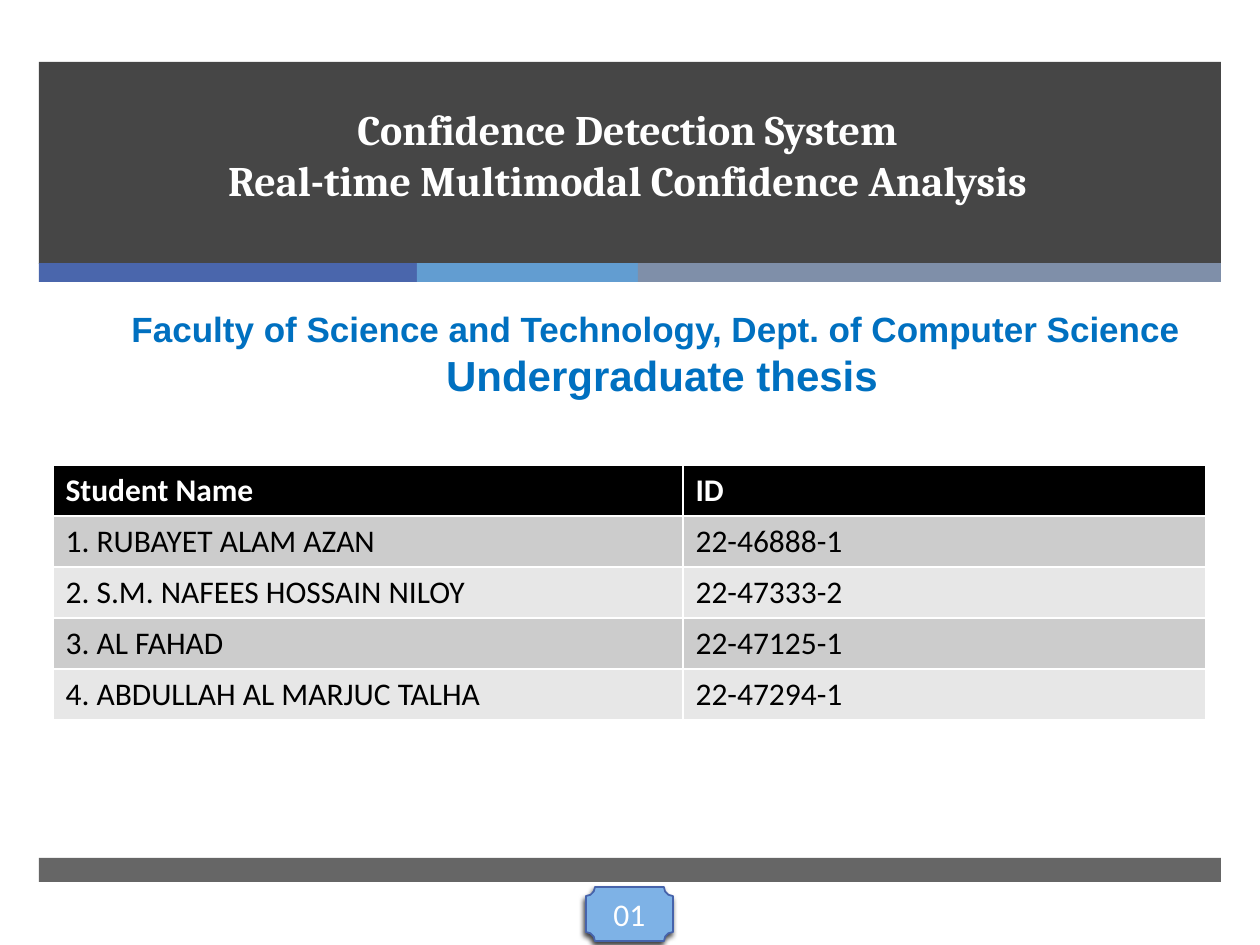
from dataclasses import dataclass
from typing import Optional

import pptx
import pptx.dml.color
import pptx.enum.shapes
import pptx.enum.text
import pptx.oxml
import pptx.oxml.ns
import pptx.util
from lxml import etree

RGBColor = pptx.dml.color.RGBColor
MSO_SHAPE = pptx.enum.shapes.MSO_SHAPE
ANCHOR = pptx.enum.text.MSO_ANCHOR
ALIGN = pptx.enum.text.PP_ALIGN

EMU_PER_PX = 914400 / 126

WHITE = RGBColor(0xFF, 0xFF, 0xFF)
BLACK = RGBColor(0x00, 0x00, 0x00)
CHARCOAL = RGBColor(0x26, 0x26, 0x26)
INDIGO = RGBColor(0x4A, 0x66, 0xAC)
SKY = RGBColor(0x62, 0x9D, 0xD1)
SLATE = RGBColor(0x7F, 0x8F, 0xA9)
HEADING_BLUE = RGBColor(0x00, 0x70, 0xC0)
BADGE_FILL = RGBColor(0x7E, 0xB2, 0xE6)
BADGE_LINE = RGBColor(0x46, 0x63, 0xAB)
ROW_FILLS = (RGBColor(0xCC, 0xCC, 0xCC), RGBColor(0xE7, 0xE7, 0xE7))


@dataclass(frozen=True)
class Band:
    left: int
    top: int
    width: int
    height: int
    color: RGBColor
    opacity: Optional[int] = None


BANDS = (
    Band(39, 62, 1182, 202, CHARCOAL, 85),
    Band(39, 263, 378, 19, INDIGO),
    Band(417, 263, 221, 19, SKY),
    Band(638, 263, 583, 19, SLATE),
    Band(39, 858, 1182, 24, CHARCOAL, 70),
)

STUDENTS = (
    ("Student Name", "ID"),
    ("1. RUBAYET ALAM AZAN", "22-46888-1"),
    ("2. S.M. NAFEES HOSSAIN NILOY", "22-47333-2"),
    ("3. AL FAHAD", "22-47125-1"),
    ("4. ABDULLAH AL MARJUC TALHA", "22-47294-1"),
)
COLUMN_WIDTHS = (630, 523)
ROW_HEIGHT = 51


def px(length: int) -> int:
    return round(length * EMU_PER_PX)


def box(left: int, top: int, width: int, height: int) -> tuple[int, ...]:
    return px(left), px(top), px(width), px(height)


def write(paragraph, text: str, *, size: int, font: str, color: RGBColor,
          bold: bool = False, align=ALIGN.LEFT, indent: int = 0) -> None:
    paragraph.text = text
    paragraph.alignment = align
    if indent:
        paragraph._p.get_or_add_pPr().set("marL", str(px(indent)))
    for run in paragraph.runs:
        run.font.size = pptx.util.Pt(size)
        run.font.name = font
        run.font.bold = bold
        run.font.color.rgb = color


def draw_band(slide, band: Band) -> None:
    bar = slide.shapes.add_shape(
        MSO_SHAPE.RECTANGLE, *box(band.left, band.top, band.width, band.height))
    bar.shadow.inherit = False
    bar.fill.solid()
    bar.fill.fore_color.rgb = band.color
    bar.line.fill.background()
    if band.opacity is not None:
        color = bar._element.spPr.find(".//" + pptx.oxml.ns.qn("a:srgbClr"))
        etree.SubElement(color, pptx.oxml.ns.qn("a:alpha"),
                         val=str(band.opacity * 1000))


def draw_title(slide) -> None:
    title, subtitle = slide.shapes.title, slide.placeholders[1]
    subtitle._element.getparent().remove(subtitle._element)
    # Bring the title in front of the dark band
    slide.shapes._spTree.append(title._element)
    title.left, title.top, title.width, title.height = box(34, 62, 1187, 149)
    title.text_frame.vertical_anchor = ANCHOR.BOTTOM
    write(title.text_frame.paragraphs[0],
          "Confidence Detection System\vReal-time Multimodal Confidence Analysis",
          size=24, font="Cambria", color=WHITE, bold=True, align=ALIGN.CENTER)


def draw_department(slide) -> None:
    frame = slide.shapes.add_textbox(*box(34, 301, 1244, 106)).text_frame
    frame.word_wrap = True
    frame.auto_size = pptx.enum.text.MSO_AUTO_SIZE.SHAPE_TO_FIT_TEXT
    style = dict(font="Arial", color=HEADING_BLUE, bold=True, align=ALIGN.CENTER)
    write(frame.paragraphs[0],
          "Faculty of Science and Technology, Dept. of Computer Science",
          size=20, **style)
    write(frame.add_paragraph(), "Undergraduate thesis", size=24, indent=12, **style)


def draw_students(slide) -> None:
    table = slide.shapes.add_table(
        len(STUDENTS), len(COLUMN_WIDTHS),
        *box(53, 465, sum(COLUMN_WIDTHS), ROW_HEIGHT * len(STUDENTS))).table
    for column, width in zip(table.columns, COLUMN_WIDTHS):
        column.width = px(width)
    for row, student in enumerate(STUDENTS):
        header = row == 0
        table.rows[row].height = px(ROW_HEIGHT)
        for column, text in enumerate(student):
            cell = table.cell(row, column)
            cell.fill.solid()
            cell.fill.fore_color.rgb = BLACK if header else ROW_FILLS[(row - 1) % 2]
            write(cell.text_frame.paragraphs[0], text, size=18, font="Calibri",
                  color=WHITE if header else BLACK, bold=header)


def draw_page_badge(slide) -> None:
    badge = slide.shapes.add_shape(MSO_SHAPE.PLAQUE, *box(586, 887, 87, 54))
    badge.fill.solid()
    badge.fill.fore_color.rgb = BADGE_FILL
    badge.line.color.rgb = BADGE_LINE
    badge.line.width = pptx.util.Pt(1)
    badge.shadow.inherit = False
    effects = badge._element.spPr.find(pptx.oxml.ns.qn("a:effectLst"))
    effects.append(pptx.oxml.parse_xml(
        f'<a:outerShdw {pptx.oxml.ns.nsdecls("a")} blurRad="38100" dist="25400" '
        'dir="6600000" rotWithShape="0"><a:srgbClr val="000000">'
        '<a:alpha val="75000"/></a:srgbClr></a:outerShdw>'))
    badge.text_frame.vertical_anchor = ANCHOR.MIDDLE
    write(badge.text_frame.paragraphs[0], "01", size=18, font="Calibri",
          color=WHITE, align=ALIGN.CENTER)


def main() -> None:
    deck = pptx.Presentation()
    deck.slide_width, deck.slide_height = px(1260), px(945)
    slide = deck.slides.add_slide(deck.slide_layouts[0])

    # Header and footer bands
    for band in BANDS:
        draw_band(slide, band)

    # Headings, student list and page number
    draw_title(slide)
    draw_department(slide)
    draw_students(slide)
    draw_page_badge(slide)
    deck.save("out.pptx")


if __name__ == "__main__":
    main()
